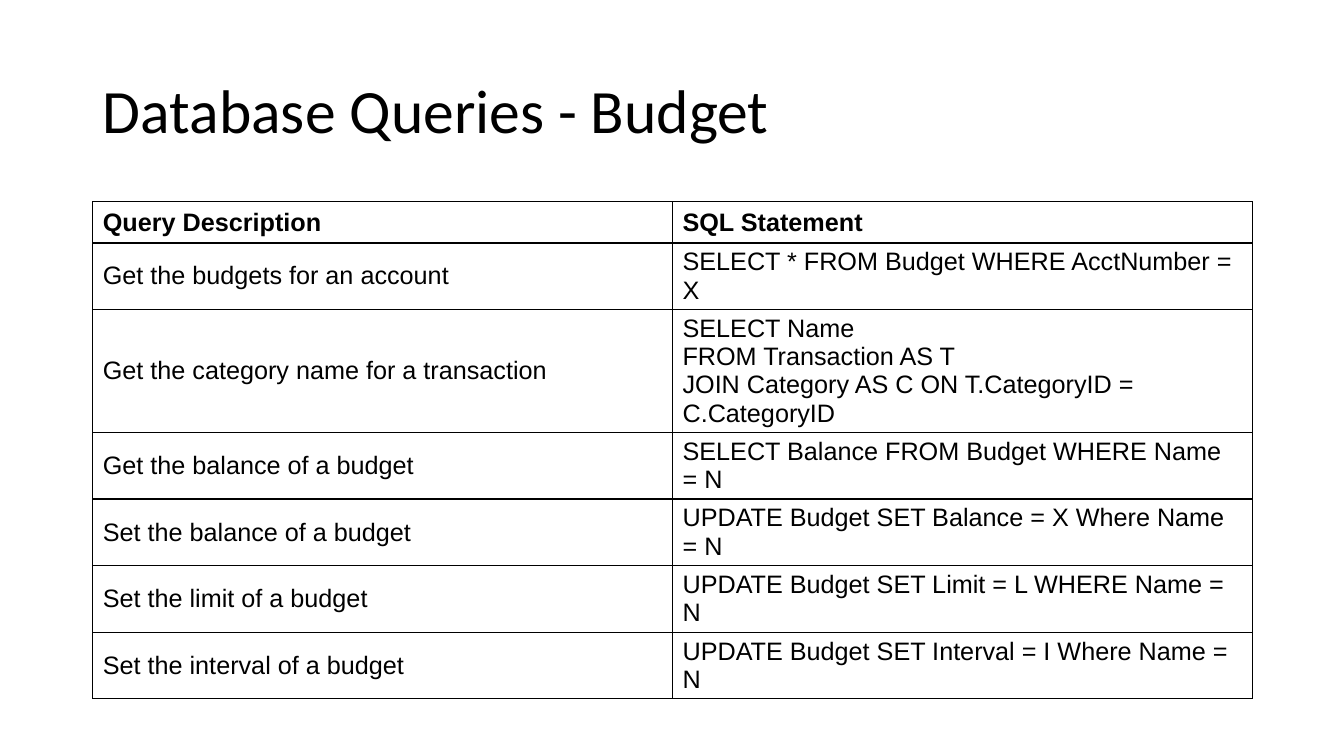
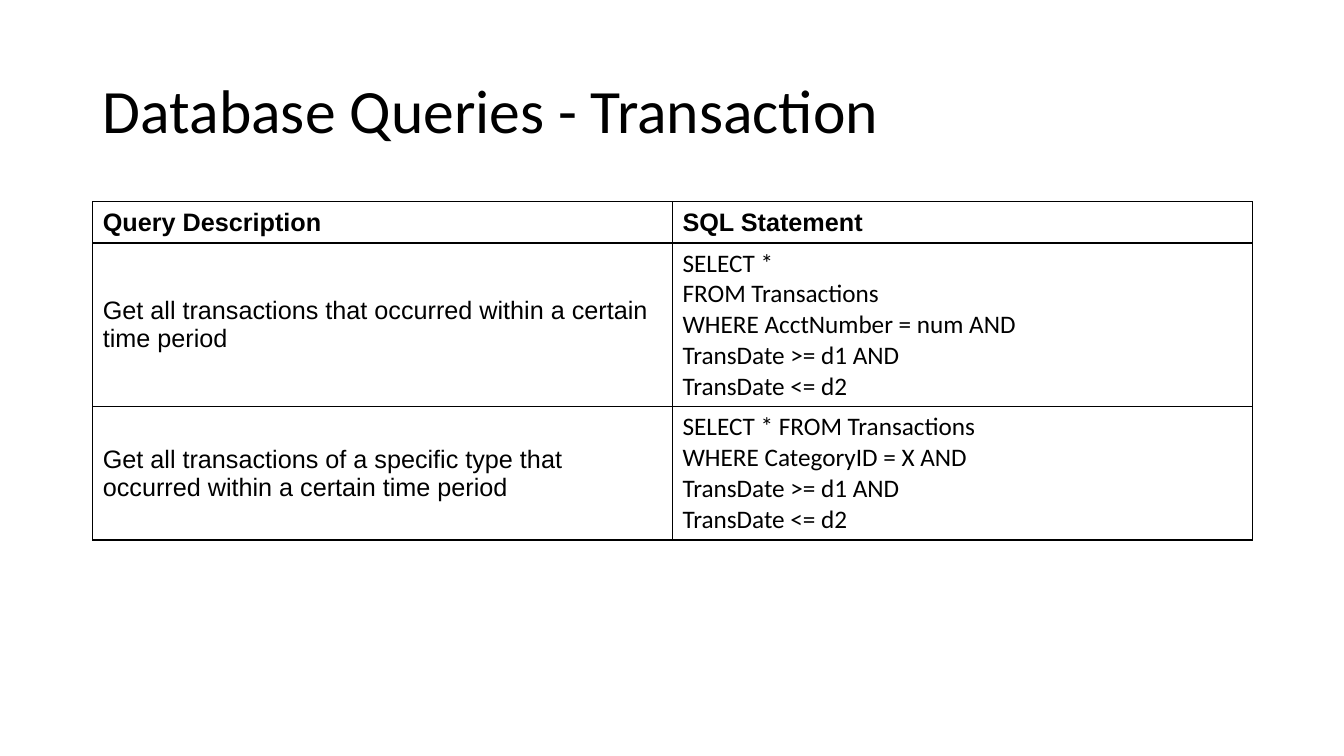
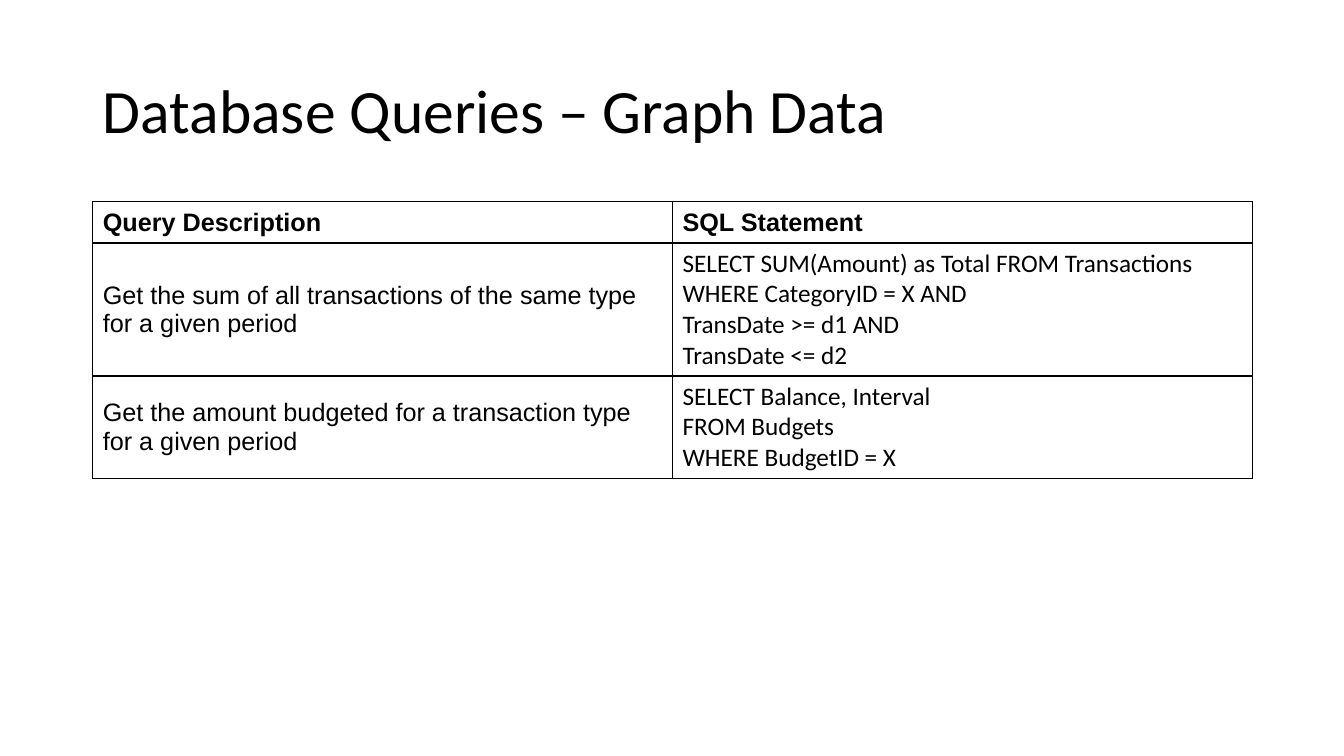
import lxml.etree
import pptx
import pptx.dml.color
import pptx.enum.text
import pptx.oxml.ns
import pptx.util

Inches, Pt = pptx.util.Inches, pptx.util.Pt
qn = pptx.oxml.ns.qn
BLACK = pptx.dml.color.RGBColor(0, 0, 0)
MIDDLE = pptx.enum.text.MSO_ANCHOR.MIDDLE
LEFT = pptx.enum.text.PP_ALIGN.LEFT

SLIDE_WIDTH, SLIDE_HEIGHT = Inches(13.33), Inches(7.5)
TITLE_BOX = (Inches(0.92), Inches(0.4), Inches(11.5), Inches(1.45))
TABLE_BOX = (Inches(0.92), Inches(2), Inches(11.5))
ROW_HEIGHT = Inches(0.41)  # least height: rows grow with their text
TITLE_FONT, TABLE_FONT = "Calibri", "Arial"
HEADINGS = ("Query Description", "SQL Statement")

# Title, font of the statements, rows of description and statement
QUERY_SLIDES = [
    ("Database Queries - Budget", "Arial", [
        ("Get the budgets for an account",
         "SELECT * FROM Budget WHERE AcctNumber = X"),
        ("Get the category name for a transaction",
         "SELECT Name\nFROM Transaction AS T\n"
         "JOIN Category AS C ON T.CategoryID = C.CategoryID"),
        ("Get the balance of a budget",
         "SELECT Balance FROM Budget WHERE Name = N"),
        ("Set the balance of a budget",
         "UPDATE Budget SET Balance = X Where Name = N"),
        ("Set the limit of a budget",
         "UPDATE Budget SET Limit = L WHERE Name = N"),
        ("Set the interval of a budget",
         "UPDATE Budget SET Interval = I Where Name = N"),
    ]),
    ("Database Queries - Transaction", "Calibri", [
        ("Get all transactions that occurred within a certain time period",
         "SELECT *\nFROM Transactions\nWHERE AcctNumber = num AND\n"
         "TransDate >= d1 AND\nTransDate <= d2"),
        ("Get all transactions of a specific type that occurred within "
         "a certain time period",
         "SELECT * FROM Transactions\nWHERE CategoryID = X AND\n"
         "TransDate >= d1 AND\nTransDate <= d2"),
    ]),
    ("Database Queries – Graph Data", "Calibri", [
        ("Get the sum of all transactions of the same type for a given period",
         "SELECT SUM(Amount) as Total FROM Transactions\n"
         "WHERE CategoryID = X AND\nTransDate >= d1 AND\nTransDate <= d2"),
        ("Get the amount budgeted for a transaction type for a given period",
         "SELECT Balance, Interval\nFROM Budgets\nWHERE BudgetID = X"),
    ]),
]


def format_text(frame, font_name, size, bold=False):
    frame.vertical_anchor = MIDDLE
    for para in frame.paragraphs:
        para.alignment = LEFT
        para.font.name = font_name
        para.font.size = Pt(size)
        para.font.bold = bold
        para.font.color.rgb = BLACK


def add_borders(cell, width=Pt(1)):
    properties = cell._tc.get_or_add_tcPr()
    for side in ("a:lnL", "a:lnR", "a:lnT", "a:lnB"):
        line = lxml.etree.SubElement(properties, qn(side), w=str(width))
        fill = lxml.etree.SubElement(line, qn("a:solidFill"))
        lxml.etree.SubElement(fill, qn("a:srgbClr"), val=str(BLACK))


def fill_cell(cell, text, font_name, bold):
    cell.text = text
    format_text(cell.text_frame, font_name, 18, bold)
    cell.vertical_anchor = MIDDLE
    add_borders(cell)
    cell.fill.background()


def place_title(page, text, box):
    title = page.shapes.title
    title.left, title.top, title.width, title.height = box
    title.text_frame.text = text
    format_text(title.text_frame, TITLE_FONT, 44)
    title.text_frame.paragraphs[0].line_spacing = 0.9


def place_query_table(page, queries, statement_font, box):
    rows = [HEADINGS, *queries]
    table = page.shapes.add_table(
        len(rows), len(HEADINGS), *box, ROW_HEIGHT * len(rows)).table
    table.first_row = table.horz_banding = False
    for row, texts in enumerate(rows):
        is_heading = row == 0
        fonts = (TABLE_FONT, TABLE_FONT if is_heading else statement_font)
        for column, (text, font_name) in enumerate(zip(texts, fonts)):
            fill_cell(table.cell(row, column), text, font_name, is_heading)


def main():
    deck = pptx.Presentation()
    deck.slide_width, deck.slide_height = SLIDE_WIDTH, SLIDE_HEIGHT
    title_only = deck.slide_layouts.get_by_name("Title Only")
    for title, statement_font, queries in QUERY_SLIDES:
        page = deck.slides.add_slide(title_only)
        place_title(page, title, TITLE_BOX)
        place_query_table(page, queries, statement_font, TABLE_BOX)
    deck.save("out.pptx")


if __name__ == "__main__":
    main()
